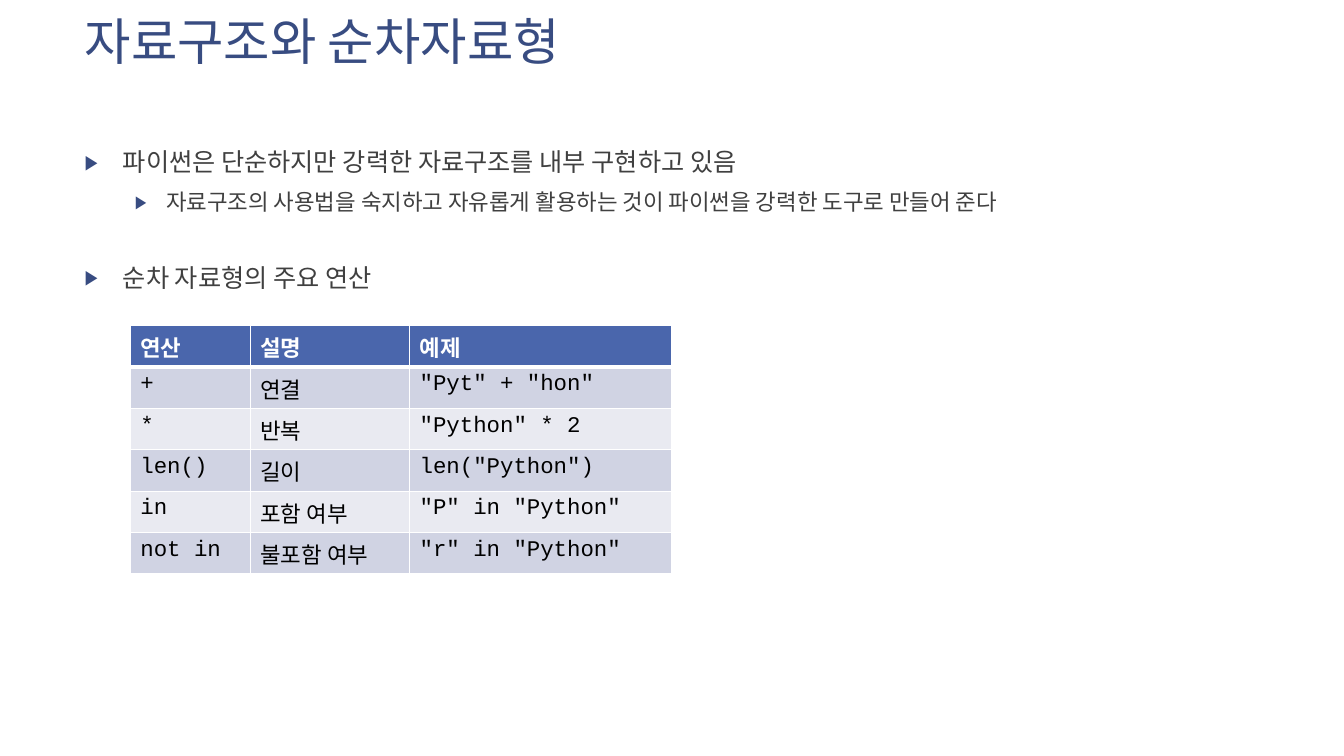
import pptx
import pptx.dml.color
import pptx.enum.text
import pptx.oxml
import pptx.oxml.ns
import pptx.util

WIDTH, HEIGHT = 13.33, 7.5
NAVY, BLUE, GRAY, WHITE, BLACK = "384C81", "4A66AC", "404040", "FFFFFF", "000000"
BANDS = ("D0D3E3", "E9EAF1")
BODY_FONT = "Courier New"
BULLETS = [
    (0, "파이썬은 단순하지만 강력한 자료구조를 내부 구현하고 있음", 10),
    (1, "자료구조의 사용법을 숙지하고 자유롭게 활용하는 것이 파이썬을 강력한 도구로 만들어 준다", 10),
    (0, "순차 자료형의 주요 연산", 36),
]
LEVELS = [(18, 0.38, -0.38), (16, 0.81, -0.31)]
COLUMN_WIDTHS = (1.19, 1.58, 2.6)
ROW_HEIGHT = 0.41
OPERATIONS = [
    ("연산", "설명", "예제"),
    ("+", "연결", '"Pyt" + "hon"'),
    ("*", "반복", '"Python" * 2'),
    ("len()", "길이", 'len("Python")'),
    ("in", "포함 여부", '"P" in "Python"'),
    ("not in", "불포함 여부", '"r" in "Python"'),
]


def color(value):
    """Turn a hex string into a colour."""
    return pptx.dml.color.RGBColor.from_string(value)


def box(left, top, width, height):
    """Convert shares of the slide's size into lengths."""
    return [pptx.util.Inches(share * size)
            for share, size in zip((left, top, width, height), (WIDTH, HEIGHT) * 2)]


def xml(tag, content="", **attributes):
    """Create a DrawingML element."""
    listed = " ".join(f'{name}="{value}"' for name, value in attributes.items())
    return pptx.oxml.parse_xml(
        f'<a:{tag} {pptx.oxml.ns.nsdecls("a")} {listed}>{content}</a:{tag}>')


def add_run(paragraph, text, size, fill, font=BODY_FONT, bold=False):
    """Append a formatted run."""
    run = paragraph.add_run()
    run.text = text
    run.font.name = font
    run.font.size = pptx.util.Pt(size)
    run.font.bold = bold
    run.font.color.rgb = color(fill)


def set_title(slide, text):
    """Place and format the title."""
    title = slide.shapes.title
    title.left, title.top, title.width, title.height = box(0.0555, 0.016, 0.705, 0.176)
    frame = title.text_frame
    frame.word_wrap = True
    frame.auto_size = pptx.enum.text.MSO_AUTO_SIZE.NONE
    frame.vertical_anchor = pptx.enum.text.MSO_ANCHOR.TOP
    paragraph = frame.paragraphs[0]
    paragraph.alignment = pptx.enum.text.PP_ALIGN.LEFT
    paragraph.line_spacing = 0.9
    add_run(paragraph, text, 36, NAVY, "Lato")


def set_bullet(paragraph, left, hanging):
    """Give a paragraph its indent and triangle bullet."""
    properties = paragraph._p.get_or_add_pPr()
    properties.set("marL", str(pptx.util.Inches(left)))
    properties.set("indent", str(pptx.util.Inches(hanging)))
    properties.append(xml("buClr", f'<a:srgbClr val="{NAVY}"/>'))
    properties.append(xml("buSzPct", val=80000))
    properties.append(xml("buFont", typeface="Arial"))
    properties.append(xml("buChar", char="▶"))


def add_bullets(slide):
    """Add the bulleted text."""
    frame = slide.shapes.add_textbox(*box(0.0555, 0.192, 0.884, 0.688)).text_frame
    frame.word_wrap = True
    for index, (level, text, gap) in enumerate(BULLETS):
        paragraph = frame.add_paragraph() if index else frame.paragraphs[0]
        size, left, hanging = LEVELS[level]
        paragraph.level = level
        paragraph.line_spacing = 0.9
        paragraph.space_before = pptx.util.Pt(gap if index else 0)
        set_bullet(paragraph, left, hanging)
        add_run(paragraph, text, size, GRAY)


def set_borders(cell, row):
    """Draw white cell borders, heavier below the header."""
    heavy = {0: "lnB", 1: "lnT"}.get(row)
    properties = cell._tc.get_or_add_tcPr()
    line = f'<a:solidFill><a:srgbClr val="{WHITE}"/></a:solidFill>'
    for index, side in enumerate(("lnL", "lnR", "lnT", "lnB")):
        width = pptx.util.Pt(3 if side == heavy else 1)
        properties.insert(index, xml(side, line, w=width))


def add_operations(slide):
    """Add the table of sequence operations."""
    place = box(0.097, 0.431, sum(COLUMN_WIDTHS) / WIDTH,
                ROW_HEIGHT * len(OPERATIONS) / HEIGHT)
    table = slide.shapes.add_table(len(OPERATIONS), len(COLUMN_WIDTHS), *place).table
    for column, width in zip(table.columns, COLUMN_WIDTHS):
        column.width = pptx.util.Inches(width)
    for row, texts in enumerate(OPERATIONS):
        table.rows[row].height = pptx.util.Inches(ROW_HEIGHT)
        header = row == 0
        for column, text in enumerate(texts):
            cell = table.cell(row, column)
            cell.fill.solid()
            cell.fill.fore_color.rgb = color(BLUE if header else BANDS[(row - 1) % 2])
            set_borders(cell, row)
            add_run(cell.text_frame.paragraphs[0], text, 16,
                    WHITE if header else BLACK, bold=header)


def main():
    """Build and save the slide."""
    presentation = pptx.Presentation()
    presentation.slide_width = pptx.util.Inches(WIDTH)
    presentation.slide_height = pptx.util.Inches(HEIGHT)
    slide = presentation.slides.add_slide(presentation.slide_layouts[5])
    set_title(slide, "자료구조와 순차자료형")
    add_bullets(slide)
    add_operations(slide)
    presentation.save("out.pptx")


main()
